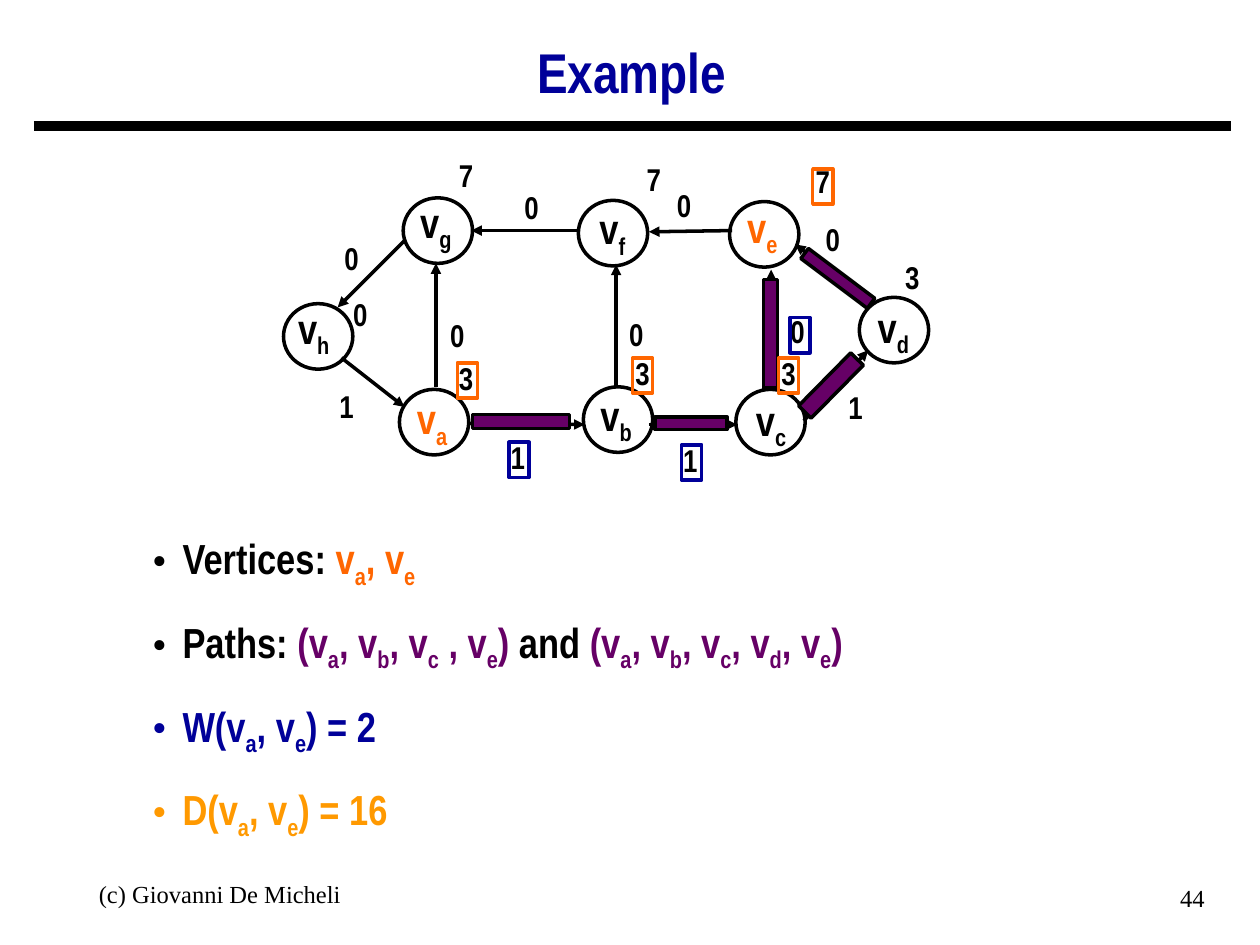
from lxml.etree import SubElement
from pptx import Presentation
from pptx.dml.color import RGBColor
from pptx.enum.shapes import MSO_CONNECTOR, MSO_SHAPE
from pptx.enum.text import MSO_ANCHOR, PP_ALIGN
from pptx.oxml.ns import qn
from pptx.util import Inches, Pt

BLACK, NAVY, ORANGE, PURPLE, AMBER = "000000", "000099", "FF6600", "660066", "FF9900"
NARROW, SERIF = "Arial Narrow", "Times New Roman"

VERTICES = [
    ("a", 1.17, 2.09, 0.73, 2.07, ORANGE),
    ("b", 2.63, 2.07, 2.19, 2.04, BLACK),
    ("c", 3.84, 2.09, 3.42, 2.08, BLACK),
    ("d", 4.82, 1.36, 4.39, 1.34, BLACK),
    ("e", 3.79, 0.6, 3.35, 0.55, ORANGE),
    ("f", 2.59, 0.59, 2.16, 0.56, BLACK),
    ("g", 1.2, 0.57, 0.76, 0.51, BLACK),
    ("h", 0.25, 1.41, -0.21, 1.35, BLACK),
]
EDGES = [
    (1.71, 2.36, 2.64, 2.37), (3.15, 2.37, 3.85, 2.37), (4.38, 2.34, 4.89, 1.78),
    (4.93, 1.4, 4.31, 0.94), (4.12, 2.07, 4.12, 1.14), (3.81, 0.83, 3.15, 0.84),
    (2.58, 0.83, 1.74, 0.83), (2.89, 2.07, 2.89, 1.1), (1.46, 2.07, 1.46, 1.09),
    (1.21, 0.91, 0.68, 1.44), (0.71, 1.84, 1.21, 2.23),
]
NUMBERS = {
    "0": [(4.31, 0.7), (3.13, 0.43), (4.03, 1.43), (2.75, 1.45), (1.33, 1.46),
          (1.92, 0.44), (0.49, 0.85), (0.56, 1.29)],
    "1": [(4.49, 2.03), (3.18, 2.45), (1.81, 2.43), (0.45, 2.02)],
    "3": [(4.94, 1), (3.96, 1.76), (2.8, 1.76), (1.4, 1.8)],
    "7": [(1.4, 0.19), (2.89, 0.22), (4.23, 0.24)],
}
PATH_BARS = [
    (1.75, 2.29, 0.77, 0.11, 0), (3.2, 2.31, 0.57, 0.1, 0), (4.06, 1.22, 0.11, 0.86, 0),
    (4.3, 1.99, 0.59, 0.14, 314.6), (4.32, 1.16, 0.66, 0.1, 36.9),
]
FRAMES = {
    ORANGE: [(1.63, 1.88), (4.45, 0.34), (3.02, 1.84), (4.18, 1.84)],
    NAVY: [(2.04, 2.51), (4.27, 1.52), (3.41, 2.53)],
}
BULLETS = [
    [("Vertices: ", BLACK), ("v_a, v_e", ORANGE)],
    [("Paths: ", BLACK), ("(v_a, v_b, v_c , v_e)", PURPLE), (" and ", BLACK),
     ("(v_a, v_b, v_c, v_d, v_e)", PURPLE)],
    [("W(v_a, v_e) = 2", NAVY)],
    [("D(v_a, v_e) = 16", AMBER)],
]


def color(value):
    return RGBColor.from_string(value)


def add_span(para, text, size, font, ink, bold, lowered=False):
    span = para.add_run()
    span.text = text
    span.font.size, span.font.name, span.font.bold = Pt(size), font, bold
    span.font.color.rgb = color(ink)
    if lowered:
        span.font._element.set("baseline", "-25000")


def write(para, text, size=18, font=NARROW, ink=BLACK, bold=True, align=PP_ALIGN.CENTER, before=0):
    para.alignment = align
    para.space_before = Pt(before)
    first, *rest = text.split("_")
    add_span(para, first, size, font, ink, bold)
    for part in rest:
        add_span(para, part[0], size, font, ink, bold, lowered=True)
        if part[1:]:
            add_span(para, part[1:], size, font, ink, bold)


def add_frame(parent, left, top, width, height):
    box = parent.shapes.add_textbox(Inches(left), Inches(top), Inches(width), Inches(height))
    box.text_frame.word_wrap = True
    return box.text_frame


def add_label(parent, left, top, width, height, text, **style):
    frame = add_frame(parent, left, top, width, height)
    write(frame.paragraphs[0], text, **style)
    return frame


def add_outline(parent, kind, left, top, width, height, line=BLACK, fill=None, turn=0):
    shape = parent.shapes.add_shape(kind, Inches(left), Inches(top), Inches(width), Inches(height))
    shape.shadow.inherit = False
    shape.rotation = turn
    shape.line.color.rgb, shape.line.width = color(line), Pt(2)
    if fill:
        shape.fill.solid()
        shape.fill.fore_color.rgb = color(fill)
    else:
        shape.fill.background()


def add_line(parent, x1, y1, x2, y2, weight=2, arrow=True):
    line = parent.shapes.add_connector(
        MSO_CONNECTOR.STRAIGHT, Inches(x1), Inches(y1), Inches(x2), Inches(y2))
    line.line.color.rgb, line.line.width = color(BLACK), Pt(weight)
    if arrow:
        SubElement(line.line._get_or_add_ln(), qn("a:tailEnd"), type="triangle")
    SubElement(line._element.spPr, qn("a:effectLst"))


def add_header(page, left, top, width):
    frame = add_label(page, left, top, width, 0.75, "Example", size=32, ink=NAVY)
    frame.vertical_anchor = MSO_ANCHOR.MIDDLE
    frame.paragraphs[0].line_spacing = 0.9
    add_line(page, left + 0.01, top + 0.78, left + width, top + 0.78, weight=6, arrow=False)


def add_graph(page, left, top):
    graph = page.shapes.add_group_shape()
    for number, places in NUMBERS.items():
        for x, y in places:
            add_label(graph, left + x, top + y, 0.6, 0.4, number, before=11.2)
    for name, x, y, label_x, label_y, ink in VERTICES:
        add_outline(graph, MSO_SHAPE.FLOWCHART_CONNECTOR, left + x, top + y, 0.55, 0.52)
        add_label(graph, left + label_x, top + label_y, 1.4, 0.56, f"v_{name}",
                  size=24, ink=ink, before=15)
    for x1, y1, x2, y2 in EDGES:
        add_line(graph, left + x1, top + y1, left + x2, top + y2)


def add_highlights(page, left, top):
    bars = page.shapes.add_group_shape()
    for x, y, width, height, turn in PATH_BARS:
        add_outline(bars, MSO_SHAPE.RECTANGLE, left + x, top + y, width, height,
                    fill=PURPLE, turn=turn)
    for line, places in FRAMES.items():
        frames = page.shapes.add_group_shape()
        for x, y in places:
            add_outline(frames, MSO_SHAPE.RECTANGLE, left + x, top + y, 0.16, 0.28, line=line)


def add_bullets(page, left, top, width, height):
    frame = add_frame(page, left, top, width, height)
    for index, parts in enumerate(BULLETS):
        para = frame.add_paragraph() if index else frame.paragraphs[0]
        for text, ink in parts:
            write(para, text, size=24, ink=ink, align=PP_ALIGN.LEFT, before=15)
        layout = para._p.get_or_add_pPr()
        layout.set("marL", str(Inches(0.24)))
        layout.set("indent", str(-Inches(0.24)))
        SubElement(SubElement(layout, qn("a:buClr")), qn("a:srgbClr"), val=parts[0][1])
        SubElement(layout, qn("a:buFont"), typeface=SERIF)
        SubElement(layout, qn("a:buChar"), char="•")


def add_footer(page, left, top):
    style = dict(size=14, font=SERIF, bold=False)
    credit = add_label(page, left, top, 3.17, 0.52, "(c) Giovanni De Micheli", **style)
    number = add_label(page, left + 7.29, top + 0.03, 2.33, 0.52, "44",
                       align=PP_ALIGN.RIGHT, **style)
    for frame in (credit, number):
        frame.paragraphs[0]._p.get_or_add_pPr().set("marL", str(Inches(0.24)))


def main():
    deck = Presentation()
    deck.slide_width, deck.slide_height = Inches(10), Inches(7.5)
    page = deck.slides.add_slide(deck.slide_layouts[6])
    add_header(page, 0.26, 0.22, 9.51)
    add_graph(page, 2, 1)
    add_bullets(page, 1.11, 4.18, 7.39, 2.55)
    add_highlights(page, 2, 1)
    add_footer(page, 0.04, 6.93)
    deck.save("out.pptx")


if __name__ == "__main__":
    main()
